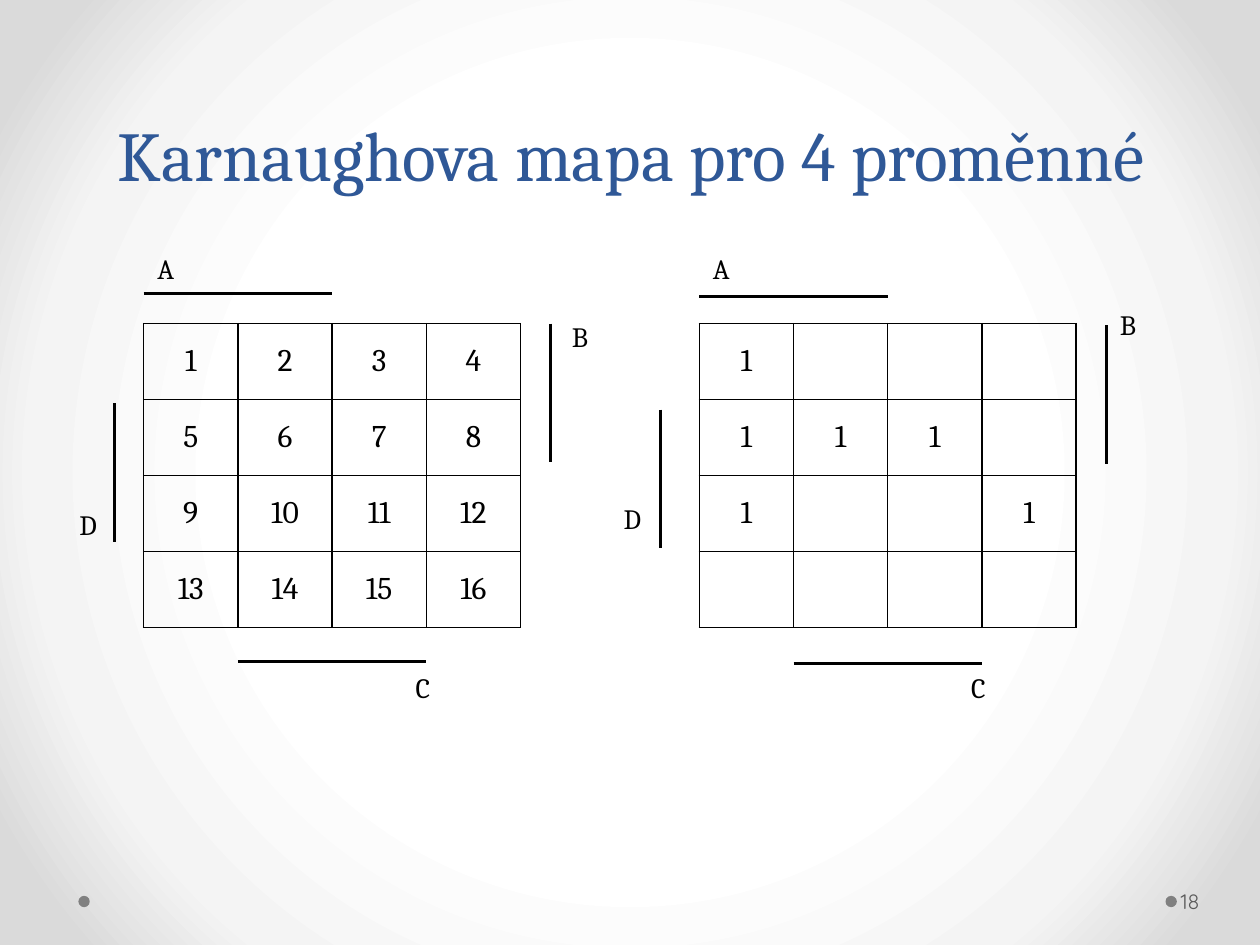
from dataclasses import dataclass

from lxml import etree
from pptx import Presentation
from pptx import util as u
from pptx.dml.color import RGBColor
from pptx.enum import shapes, text
from pptx.oxml.ns import qn

Pt = u.Pt


@dataclass(frozen=True)
class Theme:
    """Colours, fonts and type sizes of the slide."""
    ink: str = "000000"
    heading: str = "2F5897"
    dot: str = "808080"
    number: str = "595959"
    glow: tuple = ((50, "FFFFFF"), (76, "F4F4F4"), (92, "DADADA"))
    serif: str = "Cambria"
    sans: str = "Quicksand"
    heading_size: int = 40
    cell_size: int = 18
    label_size: int = 16
    number_size: int = 12


THEME = Theme()
COLUMN, ROW, ORDER = 53.85, 43.4, 4
BAR_HEIGHT = 79.2
MAP_TOP = 185


def sub(parent, tag, **attributes):
    """Append a drawing element to its parent."""
    return etree.SubElement(parent, qn(tag), attributes)


def paint_background(slide):
    """Fill the background with a circular gradient."""
    slide.background.fill.gradient()
    gradient = slide.element.find(".//" + qn("a:gradFill"))
    for child in list(gradient):
        gradient.remove(child)
    stops = sub(gradient, "a:gsLst")
    for percent, colour in THEME.glow:
        stop = sub(stops, "a:gs", pos=str(percent * 1000))
        sub(stop, "a:srgbClr", val=colour)
    circle = sub(gradient, "a:path", path="circle")
    sub(circle, "a:fillToRect", l="50000", t="50000", r="50000", b="50000")


def add_run(paragraph, words, size, colour, font=THEME.serif):
    """Add one styled run to a paragraph."""
    run = paragraph.add_run()
    run.text = words
    run.font.size = Pt(size)
    run.font.name = font
    run.font.color.rgb = RGBColor.from_string(colour)


def add_text_frame(slide, left, top, width, height, wrap=True):
    """Add a text box and return its frame."""
    frame = slide.shapes.add_textbox(Pt(left), Pt(top), Pt(width), Pt(height)).text_frame
    frame.word_wrap = wrap
    return frame


def add_heading(slide, words):
    """Add the centred slide heading."""
    frame = add_text_frame(slide, 36.7, 3.6, 648, 111.6)
    frame.vertical_anchor = text.MSO_ANCHOR.BOTTOM
    paragraph = frame.paragraphs[0]
    paragraph.alignment = text.PP_ALIGN.CENTER
    paragraph.line_spacing = Pt(58)
    add_run(paragraph, words, THEME.heading_size, THEME.heading)


def add_dot(slide, left):
    """Add a footer dot."""
    dot = slide.shapes.add_shape(shapes.MSO_SHAPE.OVAL, Pt(left), Pt(511.9), Pt(6.5), Pt(6.5))
    dot.shadow.inherit = False
    dot.fill.solid()
    dot.fill.fore_color.rgb = RGBColor.from_string(THEME.dot)
    dot.line.fill.background()


def add_page_number(slide, number):
    """Add the page number beside the right footer dot."""
    frame = add_text_frame(slide, 672.5, 500.4, 43.9, 28.8)
    frame.margin_left = Pt(2.2)
    frame.margin_right = Pt(3.6)
    frame.vertical_anchor = text.MSO_ANCHOR.MIDDLE
    add_run(frame.paragraphs[0], number, THEME.number_size, THEME.number, THEME.sans)


def add_bar(slide, left, top, width, height):
    """Add a straight bar marking where a variable is true."""
    bar = slide.shapes.add_connector(
        shapes.MSO_CONNECTOR.STRAIGHT, Pt(left), Pt(top), Pt(left + width), Pt(top + height))
    bar.line.width = Pt(1.75)
    bar.line.color.rgb = RGBColor.from_string(THEME.ink)
    sub(bar.element.spPr, "a:effectLst")


def add_label(slide, variable, left, top):
    """Add the letter of a variable."""
    frame = add_text_frame(slide, left, top, 26.5, 26.6, wrap=False)
    frame.auto_size = text.MSO_AUTO_SIZE.SHAPE_TO_FIT_TEXT
    add_run(frame.paragraphs[0], variable, THEME.label_size, THEME.ink)


def outline_cell(cell):
    """Draw thin borders around a clear cell."""
    properties = cell._tc.get_or_add_tcPr()
    for side in ("a:lnL", "a:lnR", "a:lnT", "a:lnB"):
        border = sub(properties, side, w=str(Pt(1)))
        sub(sub(border, "a:solidFill"), "a:srgbClr", val=THEME.ink)
    cell.fill.background()


def add_grid(slide, left, values):
    """Add the table of map cells."""
    grid = slide.shapes.add_table(
        ORDER, ORDER, Pt(left), Pt(MAP_TOP), Pt(COLUMN * ORDER), Pt(ROW * ORDER)).table
    grid.first_row = grid.horz_banding = False
    for column in grid.columns:
        column.width = Pt(COLUMN)
    for row in grid.rows:
        row.height = Pt(ROW)
    for cell, value in zip(grid.iter_cells(), values):
        outline_cell(cell)
        cell.vertical_anchor = text.MSO_ANCHOR.MIDDLE
        if value:
            paragraph = cell.text_frame.paragraphs[0]
            paragraph.alignment = text.PP_ALIGN.CENTER
            add_run(paragraph, value, THEME.cell_size, THEME.ink)


def add_map(slide, left, values, a_top, b_top, c_top, d_start, labels):
    """Add a Karnaugh map with its variable bars and letters."""
    add_grid(slide, left, values)
    add_bar(slide, left, a_top, 2 * COLUMN, 0)
    add_bar(slide, left + 232.5, b_top, 0, BAR_HEIGHT)
    add_bar(slide, left + COLUMN, c_top, 2 * COLUMN, 0)
    add_bar(slide, *d_start, 0, BAR_HEIGHT)
    for variable, place in labels.items():
        add_label(slide, variable, *place)


def main():
    """Build and save the slide."""
    deck = Presentation()
    deck.slide_width, deck.slide_height = Pt(720), Pt(540)
    slide = deck.slides.add_slide(deck.slide_layouts[6])
    paint_background(slide)
    add_dot(slide, 666)
    add_dot(slide, 44.8)
    add_heading(slide, "Karnaughova mapa pro 4 proměnné")
    cells = range(1, ORDER ** 2 + 1)
    ones = {1, 5, 6, 7, 9, 12}
    add_map(slide, 82.1, [str(cell) for cell in cells], 167.8, 185, 378, (65.5, 230.4),
            {"A": (82.8, 140.4), "B": (319.7, 179.3), "C": (230.4, 379.4), "D": (38.2, 286.6)})
    add_map(slide, 399.6, ["1" if cell in ones else "" for cell in cells],
            169.6, 185.8, 379.4, (377.3, 234),
            {"A": (400.3, 140.4), "B": (632.9, 172.1), "C": (547.9, 379.4), "D": (349.2, 283)})
    add_page_number(slide, "18")
    deck.save("out.pptx")


if __name__ == "__main__":
    main()
